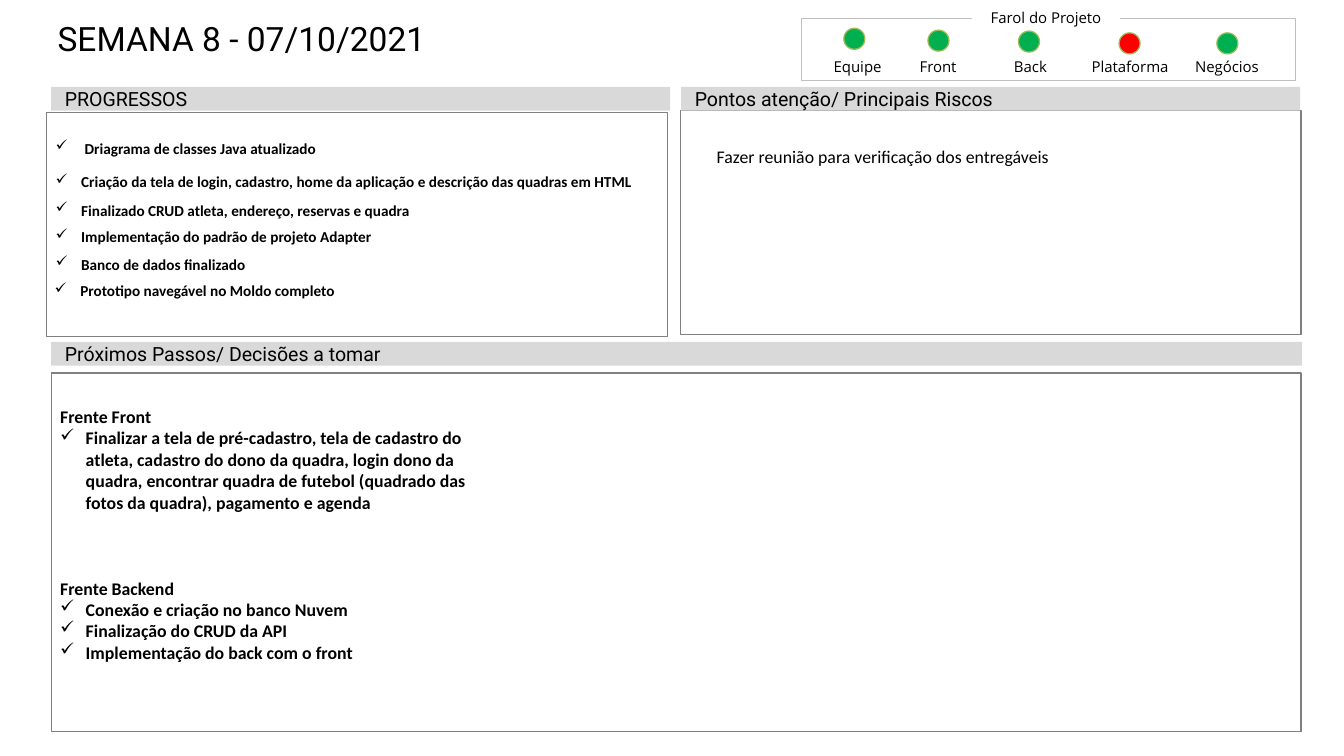
from pptx import Presentation
from pptx.dml.color import RGBColor
from pptx.enum.shapes import MSO_SHAPE
from pptx.enum.text import MSO_ANCHOR, MSO_AUTO_SIZE, PP_ALIGN
from pptx.util import Inches, Pt
from lxml.etree import SubElement
from pptx.oxml.ns import qn

TITLE = "SEMANA 8 - 07/10/2021"
STATUS_TITLE = "Farol do Projeto"
GREEN, RED = "00B050", "FF0000"
LIGHTS = [
    ("Equipe", 8.89, 9.23, 0.31, GREEN),
    ("Front", 9.77, 10.15, 0.33, GREEN),
    ("Back", 10.78, 11.14, 0.34, GREEN),
    ("Plataforma", 11.87, 12.24, 0.36, RED),
    ("Negócios", 12.93, 13.31, 0.36, GREEN),
]
HEADINGS = [
    ("PROGRESSOS", 0.56, 0.95, 6.77),
    ("Pontos atenção/ Principais Riscos", 7.45, 0.95, 6.77),
    ("Próximos Passos/ Decisões a tomar", 0.56, 3.74, 13.68),
]
FRAMES = [(7.44, 1.21, 6.79, 2.45), (0.51, 1.23, 6.79, 2.45)]
PROGRESS = [
    (" Driagrama de classes Java atualizado", 0.51, 1.47),
    ("Criação da tela de login, cadastro, home da aplicação e descrição das quadras em HTML", 0.51, 1.84),
    ("Finalizado CRUD atleta, endereço, reservas e quadra", 0.51, 2.15),
    ("Implementação do padrão de projeto Adapter", 0.51, 2.44),
    ("Banco de dados finalizado", 0.51, 2.74),
    ("Prototipo navegável no Moldo completo", 0.5, 3.03),
]
RISK = "Fazer reunião para verificação dos entregáveis"
NEXT_STEPS = {
    "Frente Front": [
        "Finalizar a tela de pré-cadastro, tela de cadastro do atleta, cadastro do dono da quadra, "
        "login dono da quadra, encontrar quadra de futebol (quadrado das fotos da quadra), "
        "pagamento e agenda",
    ],
    "Frente Backend": [
        "Conexão e criação no banco Nuvem",
        "Finalização do CRUD da API",
        "Implementação do back com o front",
    ],
}

TITLE_FONT = {"name": "Roboto", "size": Pt(26.4)}
HEADING_FONT = {"name": "Roboto", "size": Pt(15.4)}
LABEL_FONT = {"name": "Open Sans", "size": Pt(11.8)}
RISK_FONT = {"name": "Calibri", "size": Pt(14)}
STEP_FONT = {**RISK_FONT, "bold": True}
PROGRESS_FONT = {**STEP_FONT, "size": Pt(12)}
LABEL_INSETS = (0.06, 0.06, 0.06, 0)


def color(value):
    return RGBColor.from_string(value)


def apply(target, values):
    for name, value in values.items():
        setattr(target, name, value)


def add_box(place, kind=MSO_SHAPE.RECTANGLE, fill=None, line=None, weight=1):
    box = slide.shapes.add_shape(kind, *map(Inches, place))
    box.shadow.inherit = False
    if fill:
        box.fill.solid()
        box.fill.fore_color.rgb = color(fill)
    else:
        box.fill.background()
    if line:
        box.line.color.rgb = color(line)
        box.line.width = Pt(weight)
    else:
        box.line.fill.background()
    return box


def add_text(place):
    return slide.shapes.add_textbox(*map(Inches, place))


def set_frame(box, insets=(0.1, 0.05, 0.1, 0.05), anchor=MSO_ANCHOR.TOP, wrap=True):
    sides = ("margin_left", "margin_top", "margin_right", "margin_bottom")
    apply(box.text_frame, dict(zip(sides, map(Inches, insets))))
    apply(box.text_frame, {
        "vertical_anchor": anchor, "word_wrap": wrap, "auto_size": MSO_AUTO_SIZE.NONE})


def write(box, lines, font, align=PP_ALIGN.LEFT):
    for index, (text, checked) in enumerate(lines):
        frame = box.text_frame
        para = frame.add_paragraph() if index else frame.paragraphs[0]
        para.alignment = align
        span = para.add_run()
        span.text = text
        apply(span.font, font)
        span.font.color.rgb = color("000000")
        if checked:
            properties = para._p.get_or_add_pPr()
            properties.set("marL", str(Inches(0.28)))
            properties.set("indent", str(Inches(-0.28)))
            SubElement(properties, qn("a:buChar")).set("char", "✓")


def add_label(box, text):
    set_frame(box, LABEL_INSETS, MSO_ANCHOR.BOTTOM, False)
    write(box, [(text, False)], LABEL_FONT, PP_ALIGN.CENTER)


deck = Presentation()
apply(deck, {"slide_width": Inches(14.7), "slide_height": Inches(8.27)})
slide = deck.slides.add_slide(deck.slide_layouts[5])

title = slide.shapes.title
apply(title, dict(zip(("left", "top", "width", "height"), map(Inches, (0.51, 0.2, 13.23, 0.88)))))
set_frame(title, (0.12, 0, 0.12, 0))
write(title, [(TITLE, False)], TITLE_FONT)

for place in FRAMES:
    add_box(place, line="808080")

for text, left, top, width in HEADINGS:
    heading = add_box((left, top, width, 0.26), fill="D9D9D9")
    set_frame(heading, (0.15, 0.07, 0.15, 0.07), MSO_ANCHOR.MIDDLE)
    write(heading, [(text, False)], HEADING_FONT)

add_box((8.77, 0.2, 5.4, 0.68), line="BFBFBF", weight=0.5)
add_label(add_box((10.63, 0.06, 1.62, 0.23), fill="FFFFFF"), STATUS_TITLE)
for text, label_left, light_left, light_top, fill in LIGHTS:
    add_label(add_text((label_left, 0.63, 0.98, 0.2)), text)
    add_box((light_left, light_top, 0.23, 0.23), MSO_SHAPE.OVAL, fill, "9BBB59")

for text, left, top in PROGRESS:
    item = add_text((left, top, 6.77, 0.3))
    set_frame(item)
    write(item, [(text, True)], PROGRESS_FONT)

risk = add_text((7.74, 1.54, 5.19, 0.34))
set_frame(risk)
write(risk, [(RISK, False)], RISK_FONT)

steps = add_box((0.56, 4.08, 13.67, 3.92), line="808080")
set_frame(steps, (0.1, 0.36, 0.1, 0.05))
steps.text_frame._txBody.bodyPr.set("numCol", "3")
lines = [line for front, tasks in NEXT_STEPS.items()
         for line in [(front, False)] + [(task, True) for task in tasks]]
write(steps, lines, STEP_FONT)
for para in steps.text_frame.paragraphs[1:]:
    if para.text in NEXT_STEPS:
        para.space_before = Pt(51)

deck.save("out.pptx")
